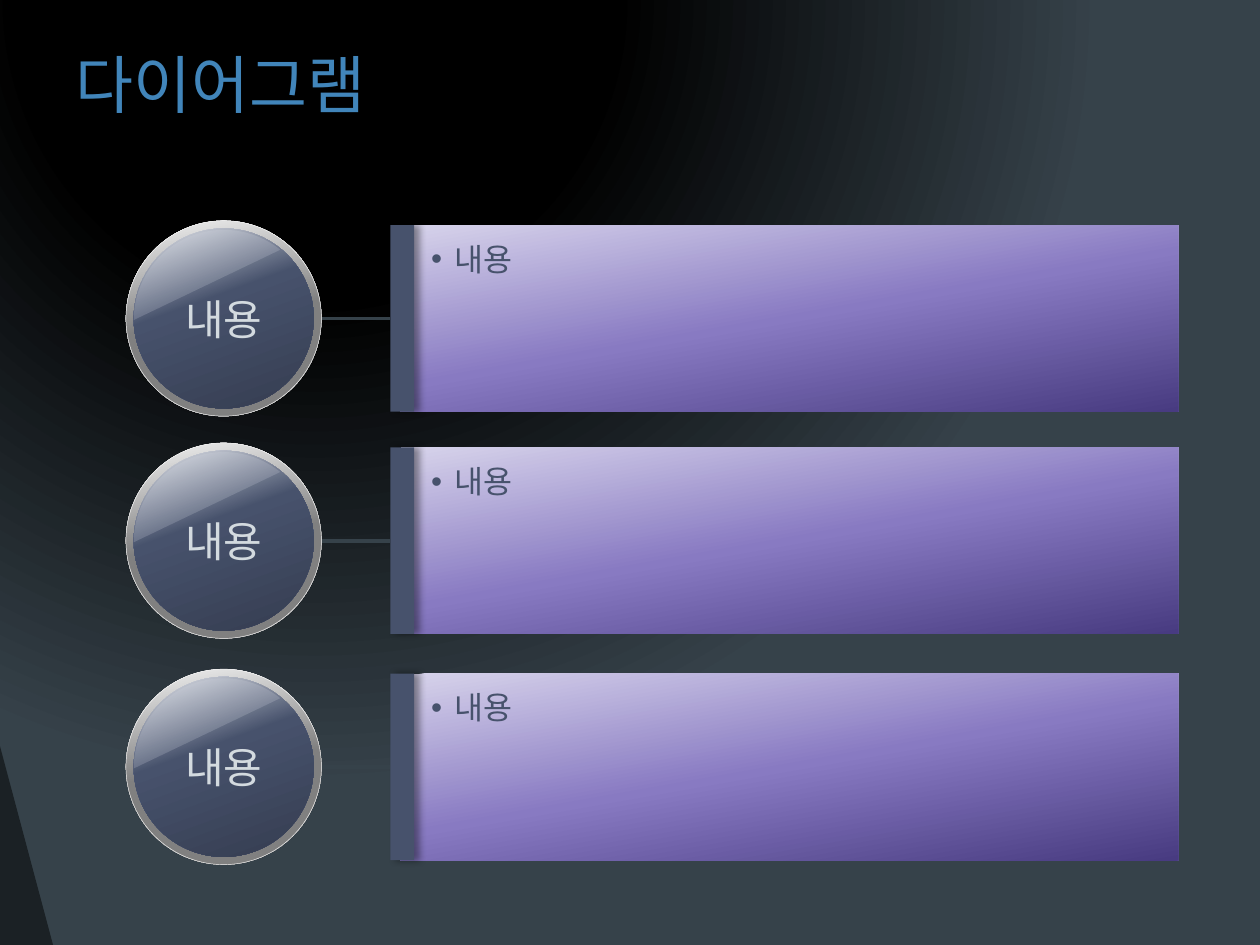
import lxml.etree
import pptx
import pptx.dml.color
import pptx.enum.shapes
import pptx.enum.text
import pptx.oxml
import pptx.oxml.ns
import pptx.util
from pptx.util import Cm

SHAPES = pptx.enum.shapes.MSO_SHAPE
ALIGN = pptx.enum.text.PP_ALIGN
ANCHOR = pptx.enum.text.MSO_ANCHOR
qn = pptx.oxml.ns.qn
rgb = pptx.dml.color.RGBColor.from_string

THEME = {
    "backdrop": [(0, "000000"), (38, "000000"), (100, "36424A")],
    "rim": [(0, "F2F2F2"), (50, "808080"), (100, "808080")],
    "disc": [(0, "EBEDF2"), (40, "47526C"), (100, "353D51")],
    "panel": [(0, "D7D3EB"), (50, "887AC2"), (100, "483B81")],
    "wedge": "1B2125",
    "rim_line": "F2F2F2",
    "gloss": "D7DBE5",
    "bar": "47526C",
    "connector": "36424A",
    "title": {"size": 36, "font": "Cabin", "color": "4185BA"},
    "label": {"size": 24, "font": "Arial", "color": "D3DADF"},
    "item": {"size": 18, "font": "Arial", "color": "47526C"},
}


def write_text(frame, text, *, size, font, color, align=ALIGN.LEFT,
               anchor=ANCHOR.MIDDLE, wrap=True, margins=None, bullet=False):
    frame.word_wrap = wrap
    frame.vertical_anchor = anchor
    if margins:
        frame.margin_left, frame.margin_top, frame.margin_right, frame.margin_bottom = margins
    paragraph = frame.paragraphs[0]
    paragraph.text = text
    paragraph.alignment = align
    if bullet:
        properties = paragraph._p.get_or_add_pPr()
        properties.set("marL", str(Cm(0.48)))
        properties.set("indent", str(-Cm(0.48)))
        lxml.etree.SubElement(properties, qn("a:buFont"), typeface="Arial")
        lxml.etree.SubElement(properties, qn("a:buChar"), char="•")
    run_font = paragraph.runs[0].font
    run_font.size = pptx.util.Pt(size)
    run_font.name = font
    run_font.color.rgb = rgb(color)


def paint_gradient(fill, element, stops, angle=None):
    fill.gradient()
    gradient = element.find(".//" + qn("a:gradFill"))
    for child in list(gradient):
        gradient.remove(child)
    stop_list = lxml.etree.SubElement(gradient, qn("a:gsLst"))
    for position, color in stops:
        stop = lxml.etree.SubElement(stop_list, qn("a:gs"), pos=str(position * 1000))
        lxml.etree.SubElement(stop, qn("a:srgbClr"), val=color)
    if angle is None:
        focus = lxml.etree.SubElement(gradient, qn("a:path"), path="circle")
        lxml.etree.SubElement(focus, qn("a:fillToRect"),
                              l="0", t="-80000", r="50000", b="160000")
    else:
        lxml.etree.SubElement(gradient, qn("a:lin"), ang=str(angle * 60000), scaled="0")


presentation = pptx.Presentation()
presentation.slide_width, presentation.slide_height = Cm(25.4), Cm(19.05)
slide = presentation.slides.add_slide(presentation.slide_layouts[5])
shapes = slide.shapes
paint_gradient(slide.background.fill, slide.element, THEME["backdrop"])

wedge = shapes.add_shape(SHAPES.RIGHT_TRIANGLE, 0, Cm(15.04), Cm(1.07), Cm(4.01))
wedge.shadow.inherit = False
wedge.fill.solid()
wedge.fill.fore_color.rgb = rgb(THEME["wedge"])
wedge.line.fill.background()

title = shapes.title
title.left, title.top, title.width, title.height = Cm(1.27), Cm(0.76), Cm(22.86), Cm(1.83)
write_text(title.text_frame, "다이어그램", **THEME["title"])

circle_center = Cm(4.51)
rim_size, disc_size = Cm(3.94), Cm(3.63)
label_width, label_height = Cm(2.18), Cm(1.27)
panel_height = Cm(3.76)

for middle in (Cm(6.42), Cm(10.9), Cm(15.46)):
    rim = shapes.add_shape(SHAPES.OVAL, circle_center - rim_size // 2,
                           middle - rim_size // 2, rim_size, rim_size)
    rim.shadow.inherit = False
    paint_gradient(rim.fill, rim._element, THEME["rim"], 80)
    rim.line.color.rgb = rgb(THEME["rim_line"])
    rim.line.width = pptx.util.Pt(0.25)

    disc_left, disc_top = circle_center - disc_size // 2, middle - disc_size // 2
    disc = shapes.add_shape(SHAPES.OVAL, disc_left, disc_top, disc_size, disc_size)
    disc.shadow.inherit = False
    paint_gradient(disc.fill, disc._element, THEME["disc"], 70)
    disc.line.fill.background()

    gloss = shapes.add_shape(SHAPES.CHORD, disc_left, disc_top + Cm(0.03),
                             disc_size, disc_size)
    gloss.shadow.inherit = False
    gloss.rotation = 90
    gloss.adjustments[0], gloss.adjustments[1] = 53.95, 131.3
    gloss.fill.solid()
    gloss.fill.fore_color.rgb = rgb(THEME["gloss"])
    gloss_color = gloss._element.spPr.find(".//" + qn("a:srgbClr"))
    lxml.etree.SubElement(gloss_color, qn("a:alpha"), val="20000")
    gloss.line.fill.background()

    label = shapes.add_textbox(circle_center - label_width // 2,
                               middle - label_height // 2, label_width, label_height)
    write_text(label.text_frame, "내용", align=ALIGN.CENTER, wrap=False, **THEME["label"])

    panel_top = middle - panel_height // 2
    panel = shapes.add_shape(SHAPES.RECTANGLE, Cm(8.08), panel_top, Cm(15.67), panel_height)
    panel.shadow.inherit = False
    paint_gradient(panel.fill, panel._element, THEME["panel"], 80)
    panel.line.fill.background()
    write_text(panel.text_frame, "내용", anchor=ANCHOR.TOP, bullet=True,
               margins=(Cm(0.61), Cm(0.3), Cm(0.25), Cm(0.13)), **THEME["item"])

    bar = shapes.add_shape(SHAPES.RECTANGLE, Cm(7.87), panel_top, Cm(0.48), panel_height)
    bar.shadow.inherit = False
    bar.fill.solid()
    bar.fill.fore_color.rgb = rgb(THEME["bar"])
    bar.line.fill.background()
    shadow = lxml.etree.SubElement(
        bar._element.spPr.find(qn("a:effectLst")), qn("a:outerShdw"),
        blurRad=str(pptx.util.Pt(4)), dist=str(pptx.util.Pt(3)), dir="0",
        algn="l", rotWithShape="0")
    shadow_color = lxml.etree.SubElement(shadow, qn("a:srgbClr"), val="000000")
    lxml.etree.SubElement(shadow_color, qn("a:alpha"), val="40000")

    connector = shapes.add_connector(pptx.enum.shapes.MSO_CONNECTOR.STRAIGHT,
                                     Cm(6.5), middle, Cm(7.87), middle)
    connector.end_connect(bar, 1)
    connector.line.color.rgb = rgb(THEME["connector"])
    connector.line.width = pptx.util.Pt(2.25)
    lxml.etree.SubElement(connector._element.spPr, qn("a:effectLst"))

presentation.save("out.pptx")
